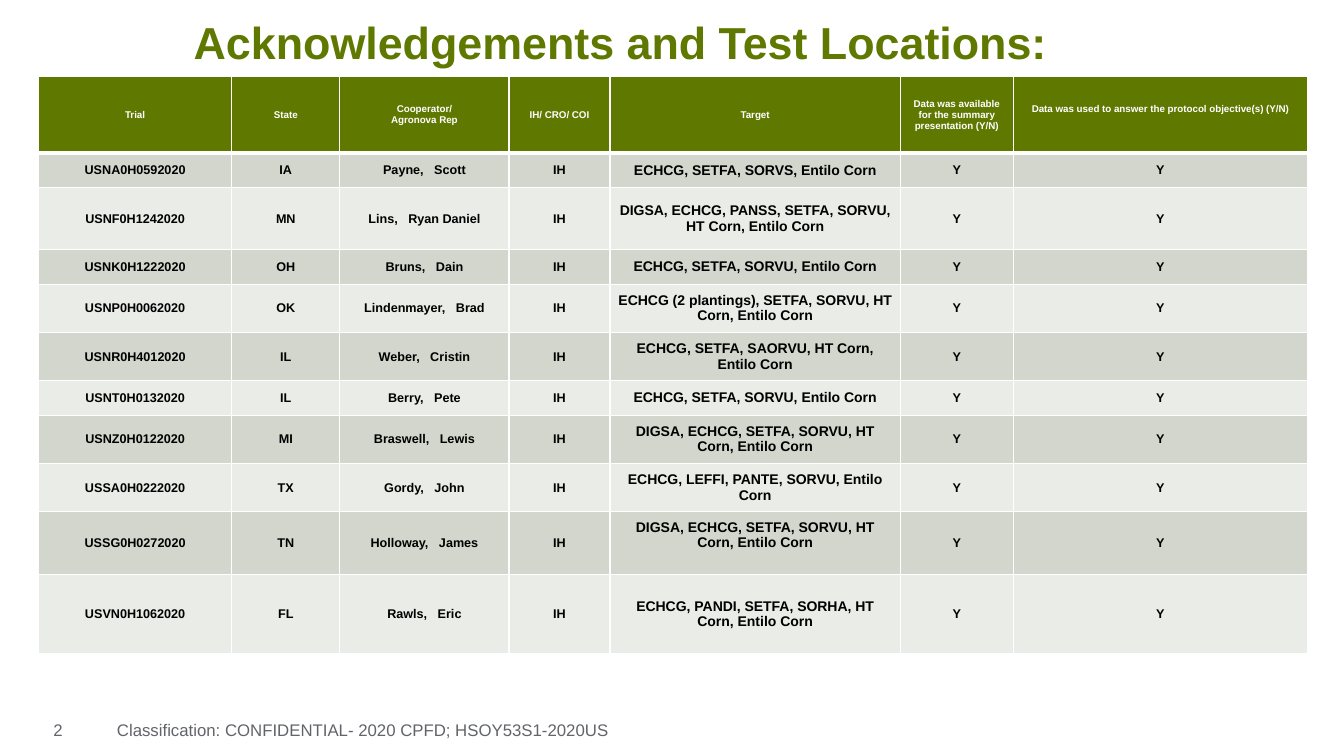
"""Build the acknowledgements and test locations slide."""
import dataclasses

import lxml.etree
import pptx
import pptx.dml.color
import pptx.enum.text
import pptx.oxml.ns
import pptx.util

TITLE = "Acknowledgements and Test Locations:"
PAGE = "2"
CLASSIFICATION = "Classification: CONFIDENTIAL- 2020 CPFD; HSOY53S1-2020US"

HEADINGS = (
    "Trial",
    "State",
    "Cooperator/\nAgronova Rep",
    "IH/ CRO/ COI",
    "Target",
    "Data was available for the summary presentation (Y/N)",
    "Data was used to answer the protocol objective(s) (Y/N)",
)
SOURCE, AVAILABLE, USED = "IH", "Y", "Y"
TRIALS = (
    ("USNA0H0592020", "IA", "Payne,   Scott", "ECHCG, SETFA, SORVS, Entilo Corn"),
    ("USNF0H1242020", "MN", "Lins,   Ryan Daniel", "DIGSA, ECHCG, PANSS, SETFA, SORVU, HT Corn, Entilo Corn"),
    ("USNK0H1222020", "OH", "Bruns,   Dain", "ECHCG, SETFA, SORVU, Entilo Corn"),
    ("USNP0H0062020", "OK", "Lindenmayer,   Brad", "ECHCG (2 plantings), SETFA, SORVU, HT Corn, Entilo Corn"),
    ("USNR0H4012020", "IL", "Weber,   Cristin", "ECHCG, SETFA, SAORVU, HT Corn, Entilo Corn"),
    ("USNT0H0132020", "IL", "Berry,   Pete", "ECHCG, SETFA, SORVU, Entilo Corn"),
    ("USNZ0H0122020", "MI", "Braswell,   Lewis", "DIGSA, ECHCG, SETFA, SORVU, HT Corn, Entilo Corn"),
    ("USSA0H0222020", "TX", "Gordy,   John", "ECHCG, LEFFI, PANTE, SORVU, Entilo Corn"),
    ("USSG0H0272020", "TN", "Holloway,   James", "DIGSA, ECHCG, SETFA, SORVU, HT Corn, Entilo Corn"),
    ("USVN0H1062020", "FL", "Rawls,   Eric", "ECHCG, PANDI, SETFA, SORHA, HT Corn, Entilo Corn"),
)

SLIDE_WIDTH, SLIDE_HEIGHT = 13.33, 7.5
TABLE_LEFT, TABLE_TOP = 0.38, 0.76
COLUMN_WIDTHS = (1.92, 1.07, 1.68, 1, 2.88, 1.12, 2.92)
ROW_HEIGHTS = (0.76, 0.34, 0.62, 0.34, 0.48, 0.48, 0.34, 0.48, 0.48, 0.62, 0.79)
TARGET_COLUMN = HEADINGS.index("Target")
FOOTER_TOP, FOOTER_HEIGHT = 7.09, 0.41
CELL_SIDE, CELL_EDGE = 0.07, 0.04
RAISED_CELLS = {(0, 6): 0.15, (9, 4): 0.2}


@dataclasses.dataclass(frozen=True)
class Theme:
    font: str = "Arial"
    green: str = "5F7800"
    bands: tuple = ("EAECE7", "D2D6CC")
    white: str = "FFFFFF"
    black: str = "000000"
    grey: str = "626469"
    title: int = 32
    footer: int = 12
    heading: int = 7
    body: int = 9
    target: int = 10
    rule: int = 1
    heavy_rule: int = 3


THEME = Theme()
inches = pptx.util.Inches


def color(value):
    return pptx.dml.color.RGBColor.from_string(value)


def write(frame, text, size, ink, bold=False, align=pptx.enum.text.PP_ALIGN.LEFT):
    frame.text = text
    frame.word_wrap = True
    for paragraph in frame.paragraphs:
        paragraph.alignment = align
        for run in paragraph.runs:
            run.font.name = THEME.font
            run.font.size = pptx.util.Pt(size)
            run.font.bold = bold
            run.font.color.rgb = color(ink)


def add_text(slide, box, insets, text, size, ink, bold=False):
    frame = slide.shapes.add_textbox(*map(inches, box)).text_frame
    frame.margin_left, frame.margin_top, frame.margin_right, frame.margin_bottom = map(inches, insets)
    write(frame, text, size, ink, bold)
    return frame


def add_borders(cell, row):
    heavy_sides = {0: "lnB", 1: "lnT"}
    properties = cell._tc.get_or_add_tcPr()
    for side in ("lnL", "lnR", "lnT", "lnB"):
        width = THEME.heavy_rule if heavy_sides.get(row) == side else THEME.rule
        line = lxml.etree.SubElement(properties, pptx.oxml.ns.qn(f"a:{side}"), w=str(pptx.util.Pt(width)))
        fill = lxml.etree.SubElement(line, pptx.oxml.ns.qn("a:solidFill"))
        lxml.etree.SubElement(fill, pptx.oxml.ns.qn("a:srgbClr"), val=THEME.white)


def fill_cell(cell, row, column, text):
    heading = row == 0
    add_borders(cell, row)
    cell.fill.solid()
    cell.fill.fore_color.rgb = color(THEME.green if heading else THEME.bands[row % 2])
    cell.vertical_anchor = pptx.enum.text.MSO_ANCHOR.MIDDLE
    cell.margin_left = cell.margin_right = inches(CELL_SIDE)
    cell.margin_top = inches(CELL_EDGE)
    cell.margin_bottom = inches(RAISED_CELLS.get((row, column), CELL_EDGE))
    body_size = THEME.target if column == TARGET_COLUMN else THEME.body
    write(cell.text_frame, text, THEME.heading if heading else body_size,
          THEME.white if heading else THEME.black, True, pptx.enum.text.PP_ALIGN.CENTER)


def add_locations(slide):
    rows = [HEADINGS] + [
        (trial, state, cooperator, SOURCE, target, AVAILABLE, USED)
        for trial, state, cooperator, target in TRIALS
    ]
    box = (TABLE_LEFT, TABLE_TOP, sum(COLUMN_WIDTHS), sum(ROW_HEIGHTS))
    locations = slide.shapes.add_table(len(rows), len(HEADINGS), *map(inches, box)).table
    for column, width in zip(locations.columns, COLUMN_WIDTHS):
        column.width = inches(width)
    for row, height in zip(locations.rows, ROW_HEIGHTS):
        row.height = inches(height)
    for row, texts in enumerate(rows):
        for column, text in enumerate(texts):
            fill_cell(locations.cell(row, column), row, column, text)


def main():
    deck = pptx.Presentation()
    deck.slide_width, deck.slide_height = inches(SLIDE_WIDTH), inches(SLIDE_HEIGHT)
    slide = deck.slides.add_slide(deck.slide_layouts[6])
    title = add_text(slide, (1.92, 0.2, 9.25, 0.49), (0, 0, 0, 0), TITLE, THEME.title, THEME.green, True)
    title.vertical_anchor = pptx.enum.text.MSO_ANCHOR.MIDDLE
    title.paragraphs[0].line_spacing = 0.9
    add_locations(slide)
    footers = ((0.43, 0.81, 0.1, PAGE), (1.16, 8.39, 0, CLASSIFICATION))
    for left, width, inset, text in footers:
        add_text(slide, (left, FOOTER_TOP, width, FOOTER_HEIGHT), (inset, 0.05, 0.1, 0.05),
                 text, THEME.footer, THEME.grey)
    deck.save("out.pptx")


if __name__ == "__main__":
    main()
